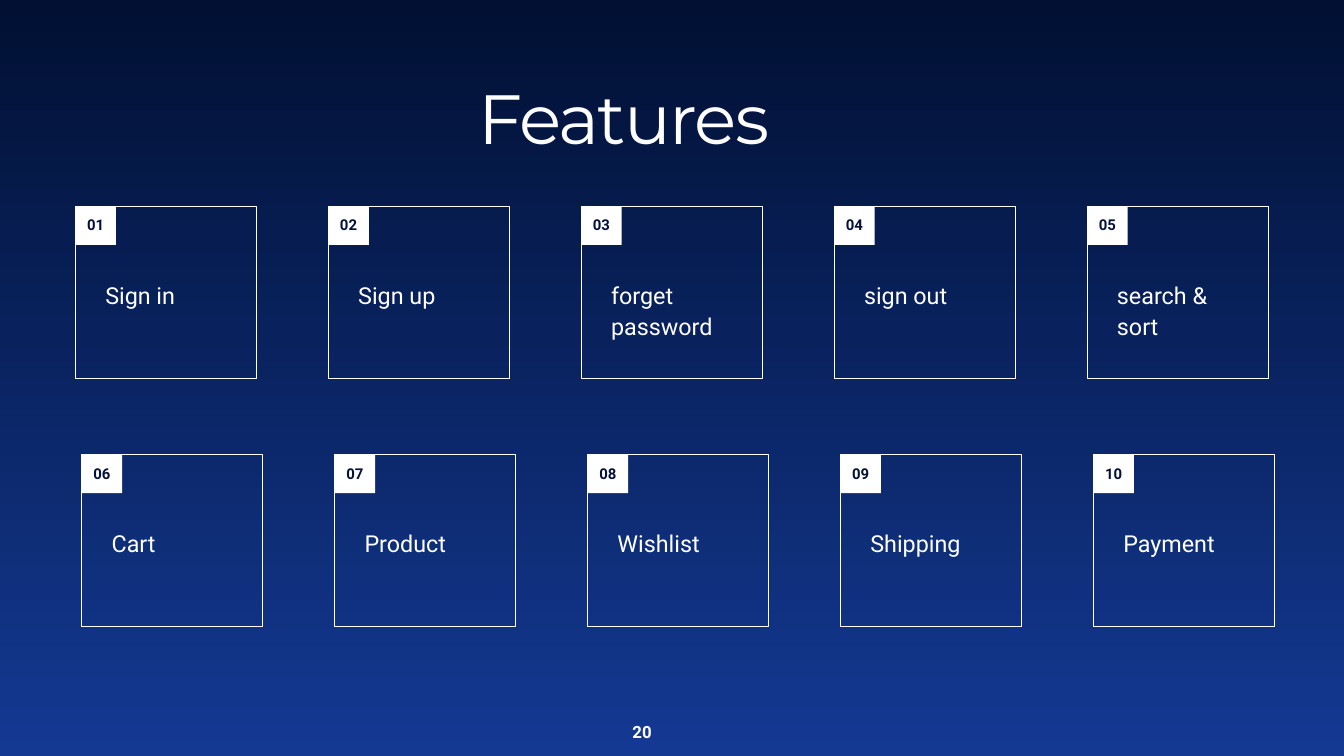
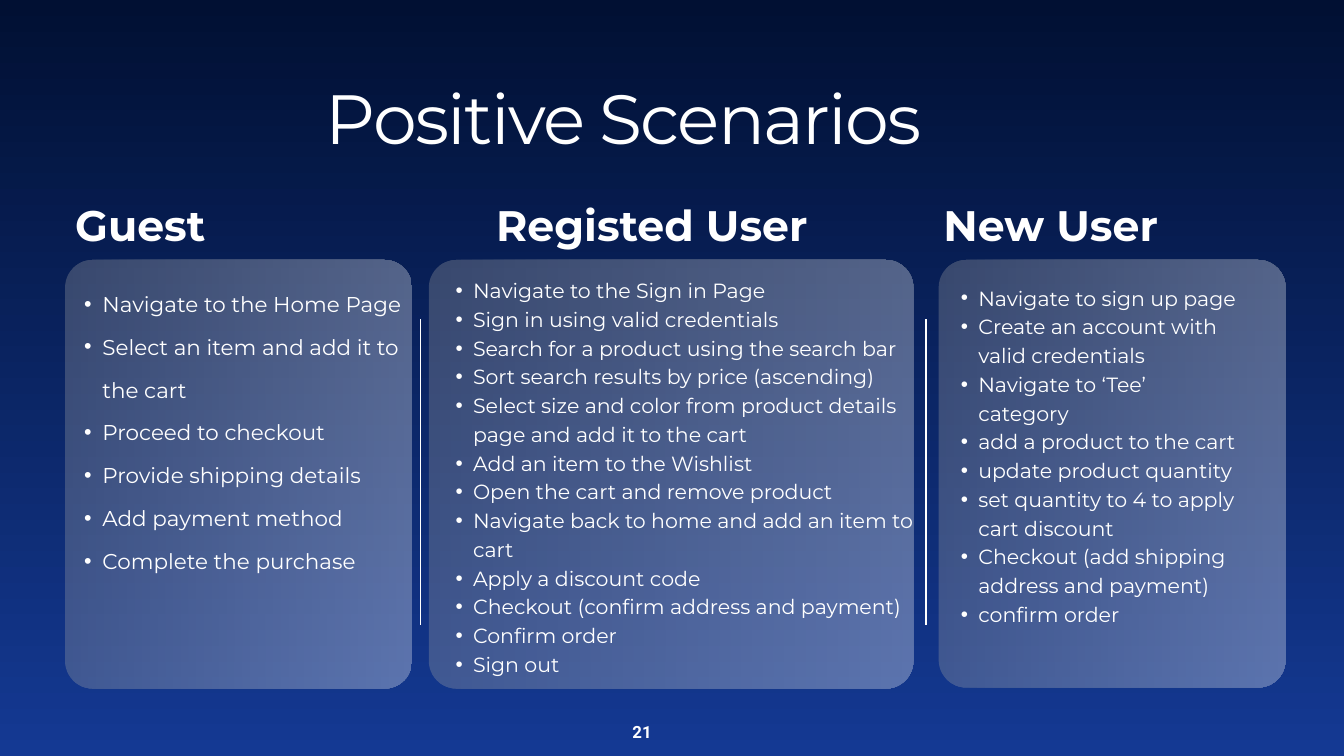
from dataclasses import dataclass

from lxml.etree import SubElement
from pptx import Presentation
from pptx.dml.color import RGBColor
from pptx.enum.shapes import MSO_CONNECTOR, MSO_SHAPE
from pptx.enum.text import MSO_ANCHOR, MSO_AUTO_SIZE, PP_ALIGN
from pptx.oxml.ns import qn
from pptx.util import Cm, Pt

# Content
FEATURES_TITLE = "Features"
FEATURES = [
    ["Sign in", "Sign up", "forget password", "sign out", "search & sort"],
    ["Cart", "Product", "Wishlist", "Shipping", "Payment"],
]
SCENARIOS_TITLE = "Positive Scenarios"
SCENARIOS = [
    ("Guest", [
        "Navigate to the Home Page",
        "Select an item and add it to the cart",
        "Proceed to checkout",
        "Provide shipping details",
        "Add payment method",
        "Complete the purchase",
    ]),
    ("Registed User", [
        "Navigate to the Sign in Page",
        "Sign in using valid credentials",
        "Search for a product using the search bar",
        "Sort search results by price (ascending)",
        "Select size and color from product details page and add it to the cart",
        "Add an item to the Wishlist",
        "Open the cart and remove product",
        "Navigate back to home and add an item to cart",
        "Apply a discount code",
        "Checkout (confirm address and payment)",
        "Confirm order",
        "Sign out",
    ]),
    ("New User", [
        "Navigate to sign up page",
        "Create an account with valid credentials",
        "Navigate to ‘Tee’ category",
        "add a product to the cart",
        "update product quantity",
        "set quantity to 4 to apply cart discount",
        "Checkout (add shipping address and payment)",
        "confirm order",
    ]),
]
FIRST_PAGE = 20


# Theme
@dataclass
class Style:
    size: float
    leading: float
    font: str = "Montserrat"
    color: str = "FFFFFF"
    bold: bool = False
    align: PP_ALIGN = PP_ALIGN.LEFT
    tracking: int = 0
    indent: float = 0


class Theme:
    white = "FFFFFF"
    background = ("011033", "143993")
    glass = ("A6A6A6", "FFFFFF")
    glass_alpha = 31000
    title = Style(74.6, 89.5, align=PP_ALIGN.CENTER, tracking=-190)
    heading = Style(45.7, 64, bold=True)
    wide_list = Style(23, 46, indent=0.69)
    tight_list = Style(22, 30.8, indent=0.66)
    label = Style(25, 32.5, "Roboto")
    badge = Style(16, 20.8, "Roboto", "041239", True, PP_ALIGN.CENTER)
    page_number = Style(18, 23.4, "Roboto", bold=True, align=PP_ALIGN.CENTER)


# Positions in centimetres: left, top, width, height
TITLE_PLACE = (4.04, 2.84, 39.06, 3.15)
NUMBER_PLACE = (23.75, 27.23, 1.04, 0.76)
ROW_STARTS = [(2.85, 7.81), (3.09, 17.19)]
COLUMN_STEP = 9.56
TILE_SIZE = (6.84, 6.48)
BADGE_SIZE = (1.53, 1.45)
LABEL_OFFSET = (1.13, 2.74)
LABEL_WIDTH = 4.6
CARD_TOP, CARD_RADIUS = 9.83, 1.04
HEADING_TOP, HEADING_HEIGHT = 7.19, 2.13
DIVIDER_DROP, DIVIDER_LENGTH = 2.24, 11.54
COLUMNS = [
    dict(card=(2.46, 13.11, 16.2), heading=(2.84, 7.95),
         steps=(2.49, 10.34, 13.39, 11.25), style=Theme.wide_list),
    dict(card=(16.21, 18.31, 16.2), heading=(18.75, 12.07),
         steps=(16.56, 10.36, 17.96, 15.37), style=Theme.tight_list),
    dict(card=(35.48, 13.11, 16.16), heading=(35.66, 11.79),
         steps=(35.66, 10.64, 11.22, 13.94), style=Theme.tight_list),
]


def in_cm(values):
    return [Cm(value) for value in values]


def paint_gradient(fill, colors, angle):
    fill.gradient()
    fill.gradient_angle = angle
    for stop, color in zip(fill.gradient_stops, colors):
        stop.color.rgb = RGBColor.from_string(color)


def add_bullet(paragraph, indent):
    paragraph.level = 1
    properties = paragraph._p.get_or_add_pPr()
    properties.set("marL", str(Cm(2 * indent)))
    properties.set("indent", str(-Cm(indent)))
    SubElement(properties, qn("a:buFont"), typeface="Arial")
    SubElement(properties, qn("a:buChar"), char="•")


def write(box, lines, style):
    frame = box.text_frame
    frame.text = "\n".join(lines)
    frame.word_wrap = True
    frame.auto_size = MSO_AUTO_SIZE.NONE
    frame.vertical_anchor = MSO_ANCHOR.TOP
    frame.margin_left = frame.margin_right = frame.margin_top = frame.margin_bottom = 0
    for paragraph in frame.paragraphs:
        if style.indent:
            add_bullet(paragraph, style.indent)
        paragraph.alignment = style.align
        paragraph.line_spacing = Pt(style.leading)
        paragraph.space_before = paragraph.space_after = Pt(0)
        for span in paragraph.runs:
            span.font.name = style.font
            span.font.size = Pt(style.size)
            span.font.bold = style.bold
            span.font.color.rgb = RGBColor.from_string(style.color)
            if style.tracking:
                span.font._element.set("spc", str(style.tracking))


def add_text(page, place, lines, style, placeholder=None):
    """Fill a placeholder if there is one, otherwise a new text box."""
    box = placeholder or page.shapes.add_textbox(*in_cm(place))
    box.left, box.top, box.width, box.height = in_cm(place)
    write(box, lines, style)


def add_page(deck, layout_name, title):
    page = deck.slides.add_slide(deck.slide_layouts.get_by_name(layout_name))
    add_text(page, TITLE_PLACE, [title], Theme.title, page.shapes.title)
    number = FIRST_PAGE + len(deck.slides) - 1
    add_text(page, NUMBER_PLACE, [str(number)], Theme.page_number)
    return page


def add_block(page, kind, place):
    block = page.shapes.add_shape(kind, *in_cm(place))
    block.shadow.inherit = False
    block.line.fill.background()
    return block


# Features: numbered tiles
def add_tile(page, left, top, number, label):
    tile = add_block(page, MSO_SHAPE.RECTANGLE, (left, top, *TILE_SIZE))
    tile.fill.background()
    tile.line.color.rgb = RGBColor.from_string(Theme.white)
    tile.line.width = Pt(0.75)

    badge = add_block(page, MSO_SHAPE.RECTANGLE, (left, top, *BADGE_SIZE))
    badge.fill.solid()
    badge.fill.fore_color.rgb = RGBColor.from_string(Theme.white)
    write(badge, [f"{number:02}"], Theme.badge)
    badge.text_frame.margin_top = Cm(0.3)

    label_place = (left + LABEL_OFFSET[0], top + LABEL_OFFSET[1], LABEL_WIDTH, 2.26)
    add_text(page, label_place, [label], Theme.label)


def build_features(deck):
    page = add_page(deck, "Title Only", FEATURES_TITLE)
    for row, (labels, (start, top)) in enumerate(zip(FEATURES, ROW_STARTS)):
        for column, label in enumerate(labels):
            number = row * len(labels) + column + 1
            add_tile(page, start + column * COLUMN_STEP, top, number, label)


# Scenarios: three glass cards with dividers between them
def add_card(page, left, width, height):
    card = add_block(page, MSO_SHAPE.ROUNDED_RECTANGLE, (left, CARD_TOP, width, height))
    card.adjustments[0] = CARD_RADIUS / min(width, height)
    paint_gradient(card.fill, Theme.glass, 0)
    for color in card._element.iter(qn("a:srgbClr")):
        SubElement(color, qn("a:alpha"), val=str(Theme.glass_alpha))
    # Cards lie behind the placeholders
    card._element.getparent().insert(2, card._element)


def add_divider(page, x):
    top = CARD_TOP + DIVIDER_DROP
    ends = in_cm((x, top + DIVIDER_LENGTH, x, top))
    divider = page.shapes.add_connector(MSO_CONNECTOR.STRAIGHT, *ends)
    divider.line.color.rgb = RGBColor.from_string(Theme.white)
    divider.line.width = Pt(1.5)
    SubElement(divider._element.spPr, qn("a:effectLst"))


def build_scenarios(deck):
    page = add_page(deck, "Comparison", SCENARIOS_TITLE)
    slots = {slot.placeholder_format.idx: slot for slot in page.placeholders}
    for index, ((heading, steps), column) in enumerate(zip(SCENARIOS, COLUMNS)):
        add_card(page, *column["card"])
        left, width = column["heading"]
        heading_place = (left, HEADING_TOP, width, HEADING_HEIGHT)
        heading_slot, steps_slot = slots.get(2 * index + 1), slots.get(2 * index + 2)
        add_text(page, heading_place, [heading], Theme.heading, heading_slot)
        add_text(page, column["steps"], steps, column["style"], steps_slot)
    for before, after in zip(COLUMNS, COLUMNS[1:]):
        card_left, card_width, _ = before["card"]
        add_divider(page, (card_left + card_width + after["card"][0]) / 2)


def main():
    deck = Presentation()
    deck.slide_width, deck.slide_height = Cm(50.8), Cm(28.58)
    paint_gradient(deck.slide_master.background.fill, Theme.background, 270)
    build_features(deck)
    build_scenarios(deck)
    deck.save("out.pptx")


if __name__ == "__main__":
    main()
